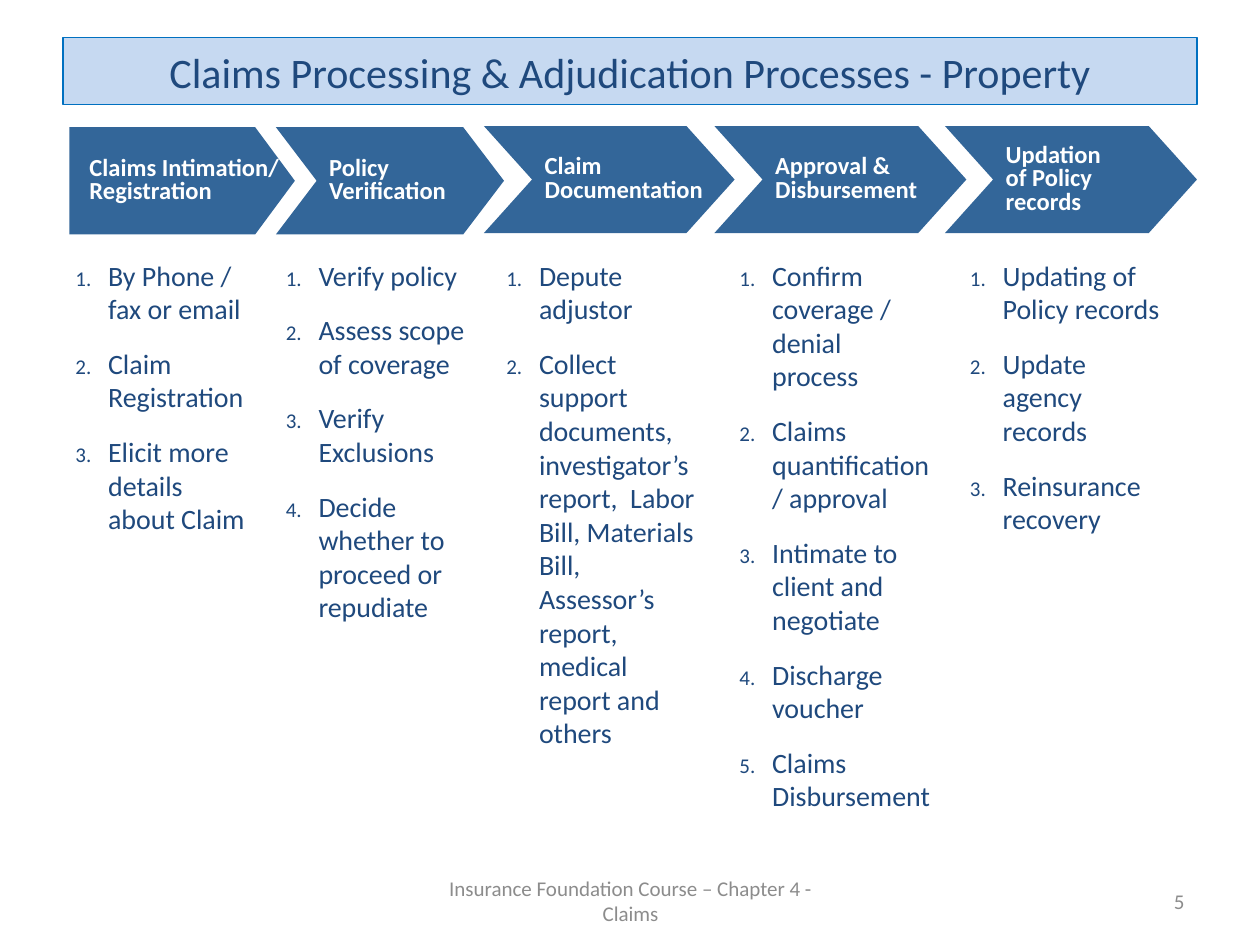
import pptx
import pptx.util
import pptx.dml.color
import pptx.enum.shapes
import pptx.enum.text
import pptx.oxml.ns
import lxml.etree

Pt = pptx.util.Pt
RGB = pptx.dml.color.RGBColor.from_string
MSO = pptx.enum.shapes.MSO_SHAPE
ALIGN = pptx.enum.text.PP_ALIGN
MIDDLE = pptx.enum.text.MSO_ANCHOR.MIDDLE

THEME = {
    "font": "Calibri",
    "navy": "1F497D", "pale": "C6D9F1", "edge": "0070C0",
    "step": "336699", "white": "FFFFFF", "grey": "8C8C8C",
    "title": 24, "list": 16, "head": 14, "foot": 12,
}

prs = pptx.Presentation()
prs.slide_width = pptx.util.Inches(10)
prs.slide_height = pptx.util.Inches(7.5)
COL = prs.slide_width / 100
ROW = prs.slide_height / 75


def box(x, y, w, h):
    return int(x * COL), int(y * ROW), int(w * COL), int(h * ROW)


def style(tf, size, color, bold=False, align=ALIGN.LEFT):
    for p in tf.paragraphs:
        p.alignment = align
        for r in p.runs:
            r.font.name = THEME["font"]
            r.font.size = Pt(THEME[size])
            r.font.bold = bold
            r.font.color.rgb = RGB(THEME[color])


s = prs.slides.add_slide(prs.slide_layouts[5])

title = s.shapes.title
title.left, title.top, title.width, title.height = box(5, 3, 90, 5.3)
title.fill.solid()
title.fill.fore_color.rgb = RGB(THEME["pale"])
title.line.color.rgb = RGB(THEME["edge"])
title.line.width = Pt(0.75)
tf = title.text_frame
tf.text = "Claims Processing & Adjudication Processes - Property"
tf.vertical_anchor = MIDDLE
tf.auto_size = pptx.enum.text.MSO_AUTO_SIZE.NONE
style(tf, "title", "navy", align=ALIGN.CENTER)

footers = [
    (71.7, 23.3, "5", ALIGN.RIGHT),
    (34.2, 31.7, "Insurance Foundation Course – Chapter 4 - Claims", ALIGN.CENTER),
]
for x, w, text, align in footers:
    tf = s.shapes.add_textbox(*box(x, 69.5, w, 4)).text_frame
    tf.word_wrap = True
    tf.vertical_anchor = MIDDLE
    tf.text = text
    style(tf, "foot", "grey", align=align)

steps = [
    (MSO.PENTAGON, 5.5, 10.1, 17.9, 0.37, 0.12, False, "Claims Intimation/\nRegistration"),
    (MSO.CHEVRON, 21.9, 10.1, 18.1, 0.38, 0.06, False, "Policy\nVerification"),
    (MSO.CHEVRON, 38.4, 10, 19.9, 0.45, 0.06, False, "Claim\nDocumentation"),
    (MSO.CHEVRON, 56.7, 10, 20, 0.45, 0.06, False, "Approval &\nDisbursement"),
    (MSO.CHEVRON, 75, 10, 20, 0.45, 0.06, True, "Updation\nof Policy records"),
]
for kind, x, y, w, point, indent, wrap, text in steps:
    sp = s.shapes.add_shape(kind, *box(x, y, w, 8.5))
    sp.adjustments[0] = point
    sp.shadow.inherit = False
    sp.fill.solid()
    sp.fill.fore_color.rgb = RGB(THEME["step"])
    sp.line.fill.background()
    tf = sp.text_frame
    tf.margin_left = tf.margin_right = tf.margin_top = tf.margin_bottom = pptx.util.Inches(0.04)
    tf.word_wrap = wrap
    tf.vertical_anchor = MIDDLE
    tf.text = text
    style(tf, "head", "white", bold=True)
    for p in tf.paragraphs:
        p.line_spacing = 0.8
        p._p.get_or_add_pPr().set("marL", str(pptx.util.Inches(indent)))

lists = [
    (5, 15.8, 26.7, ["By Phone / fax or email", "Claim Registration",
                     "Elicit more details about Claim"]),
    (21.7, 16.6, 34.2, ["Verify policy", "Assess scope of coverage", "Verify Exclusions",
                        "Decide whether to proceed or repudiate"]),
    (39.2, 17.5, 47.5, ["Depute adjustor",
                        "Collect support  documents, investigator’s report,  Labor Bill, "
                        "Materials  Bill,  Assessor’s report, medical report and others"]),
    (57.7, 17.3, 45.8, ["Confirm coverage / denial process", "Claims quantification / approval",
                        "Intimate to client and negotiate", "Discharge voucher",
                        "Claims Disbursement"]),
    (76, 17.3, 27.5, ["Updating of Policy records", "Update agency records",
                      "Reinsurance recovery"]),
]
hang = pptx.util.Inches(0.26)
qn = pptx.oxml.ns.qn
for x, w, h, items in lists:
    tf = s.shapes.add_textbox(*box(x, 20, w, h)).text_frame
    tf.word_wrap = True
    tf.text = "\n".join(items)
    style(tf, "list", "navy")
    for p in tf.paragraphs:
        p.space_before = p.space_after = Pt(6)
        pPr = p._p.get_or_add_pPr()
        pPr.set("marL", str(hang))
        pPr.set("indent", str(-hang))
        clr = lxml.etree.SubElement(pPr, qn("a:buClr"))
        lxml.etree.SubElement(clr, qn("a:srgbClr"), val=THEME["navy"])
        lxml.etree.SubElement(pPr, qn("a:buSzPct"), val="75000")
        lxml.etree.SubElement(pPr, qn("a:buFont"), typeface=THEME["font"])
        lxml.etree.SubElement(pPr, qn("a:buAutoNum"), type="arabicPeriod")

prs.save("out.pptx")
